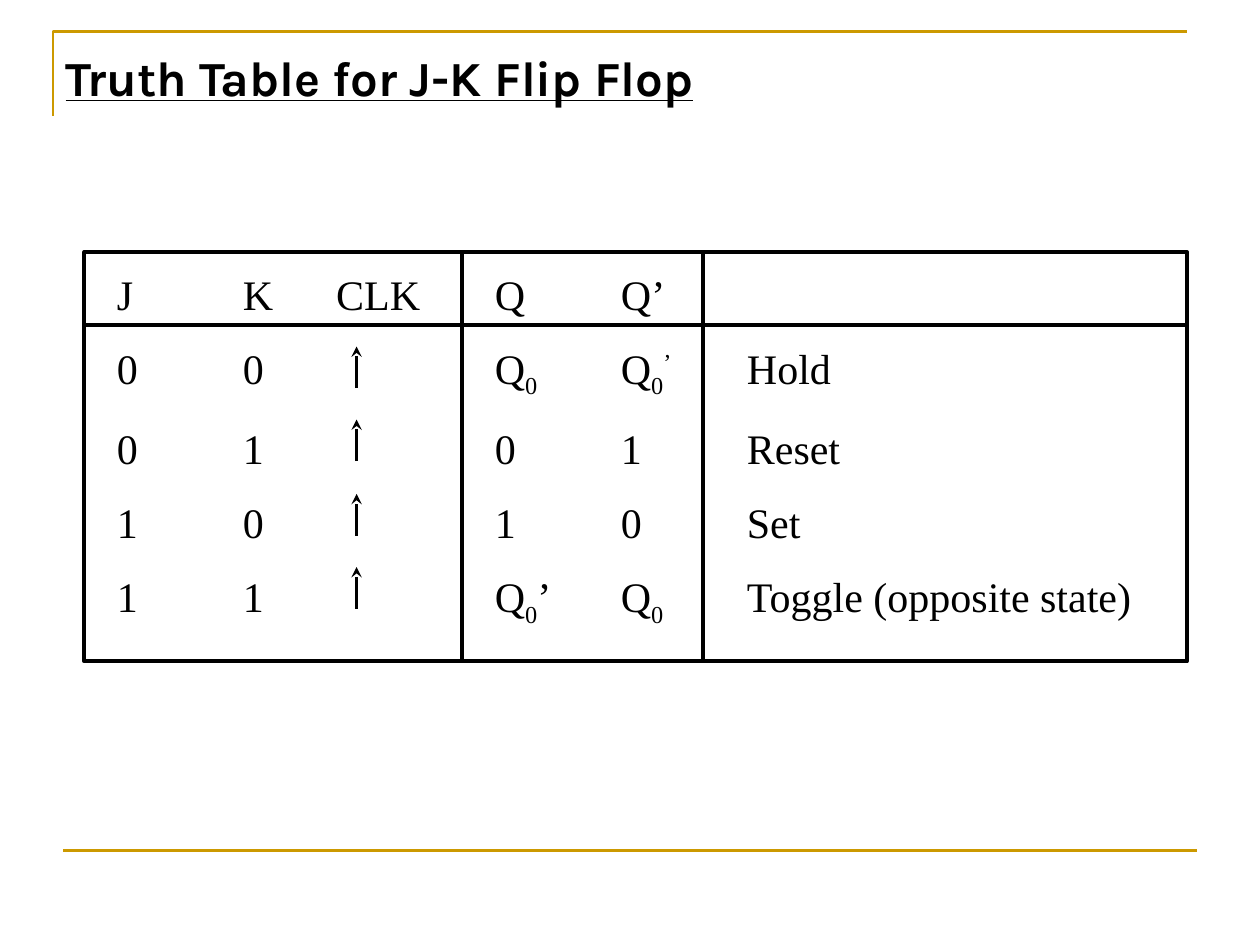
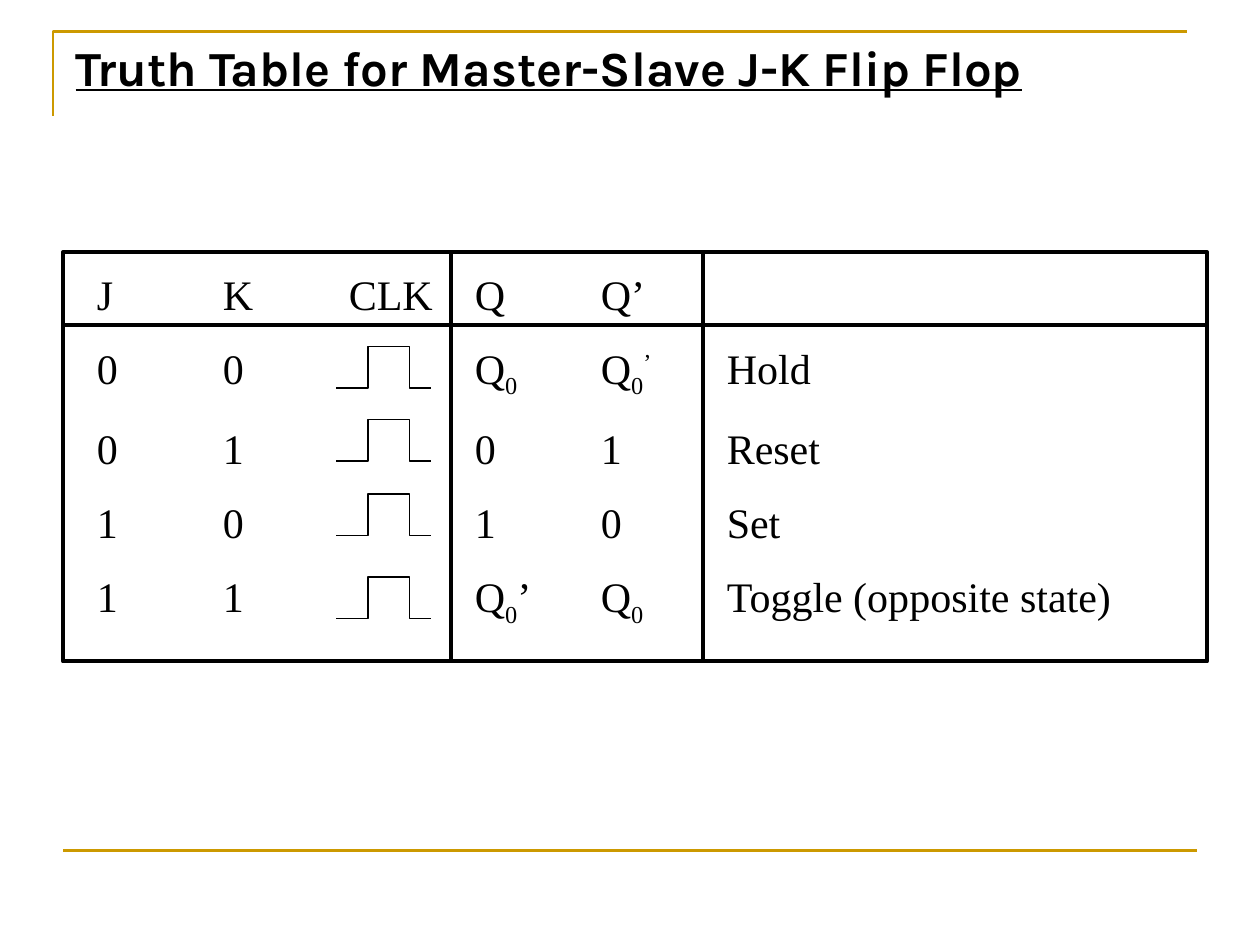
from dataclasses import dataclass
from itertools import groupby
from lxml.etree import SubElement
from pptx import Presentation
from pptx.dml.color import RGBColor
from pptx.enum.shapes import MSO_CONNECTOR as Connector, MSO_SHAPE as Shape
from pptx.enum.text import MSO_ANCHOR as Anchor, MSO_AUTO_SIZE as AutoSize, PP_ALIGN as Align
from pptx.oxml.ns import qn
from pptx.util import Inches, Pt


@dataclass(frozen=True)
class Theme:
    ink: RGBColor = RGBColor(0x00, 0x00, 0x00)
    gold: RGBColor = RGBColor(0xCC, 0x99, 0x00)
    title_font: str = "Karla"
    table_font: str = "Times New Roman"
    title_size: float = 28
    table_size: float = 24
    row_gap: float = 13.4
    trim_line: float = 1.5
    grid_line: float = 2.25
    arrow_line: float = 2
    pulse_line: float = 0.75


THEME = Theme()

# Content: a cell is plain text or a list of (text, baseline percent) parts
Q0 = [("Q", 0), ("0", -25)]
TRUTH_ROWS = [
    ["J", "K", "CLK", "Q", "Q’"],
    ["0", "0", "", Q0, Q0 + [("’", 30)], "Hold"],
    ["0", "1", "", "0", "1", "Reset"],
    ["1", "0", "", "1", "0", "Set"],
    ["1", "1", "", Q0 + [("’", 0)], Q0, "Toggle (opposite state)"],
]
SLIDES = [
    dict(title="Truth Table for J-K Flip Flop", title_box=(0.42, 0.33, 9, 1.5),
         text_left=0.83, tabs=(1, 1.74, 3, 4, 5),
         frame_left=0.67, frame_right=9.42, dividers=(3.67, 5.58),
         clock="edge", clock_tops=(2.75, 3.33, 3.92, 4.5)),
    dict(title="Truth Table for Master-Slave J-K Flip Flop", title_box=(0.5, 0.25, 10, 1.08),
         text_left=0.67, tabs=(1, 2, 3, 4, 5),
         frame_left=0.5, frame_right=9.58, dividers=(3.58, 5.58),
         clock="pulse", clock_tops=(2.75, 3.33, 3.92, 4.58)),
]

# Shared table geometry, in inches
FRAME_TOP, HEADER_BOTTOM, FRAME_BOTTOM = 2, 2.58, 5.25
TEXT_TOP, TEXT_WIDTH, TEXT_HEIGHT = 2.08, 9, 3.49
CLOCK_HEIGHT = 0.33
EDGE_X = 2.83
PULSE_XS = (2.67, 2.92, 3.25, 3.42)


def style_line(shape, color, width):
    shape.line.color.rgb = color
    shape.line.width = Pt(width)


def add_line(page, start, end, color=THEME.ink, width=THEME.grid_line):
    ends = [Inches(value) for value in (*start, *end)]
    line = page.shapes.add_connector(Connector.STRAIGHT, *ends)
    style_line(line, color, width)
    SubElement(line.element.spPr, qn("a:effectLst"))
    return line


def add_outline(page, points, color, width):
    points = [(Inches(x), Inches(y)) for x, y in points]
    builder = page.shapes.build_freeform(*points[0])
    builder.add_line_segments(points[1:], close=False)
    outline = builder.convert_to_shape()
    outline.fill.background()
    outline.shadow.inherit = False
    style_line(outline, color, width)
    return outline


def style_span(span, font, size):
    span.font.name = font
    span.font.size = Pt(size)
    span.font.color.rgb = THEME.ink


def add_trim(page, layout):
    """Draw the gold rules and move them to the layout that all slides share."""
    corner = add_outline(page, [(0.42, 0.92), (0.42, 0.25), (9.42, 0.25)],
                         THEME.gold, THEME.trim_line)
    footer = add_line(page, (0.5, 6.75), (9.5, 6.75), THEME.gold, THEME.trim_line)
    for shape in (corner, footer):
        layout.shapes.element.append(shape.element)


def set_title(page, text, place):
    box = page.shapes.title
    box.left, box.top, box.width, box.height = (Inches(value) for value in place)
    frame = box.text_frame
    frame.word_wrap = True
    frame.auto_size = AutoSize.NONE
    frame.vertical_anchor = Anchor.TOP
    para = frame.paragraphs[0]
    para.alignment = Align.LEFT
    span = para.add_run()
    span.text = text
    style_span(span, THEME.title_font, THEME.title_size)
    span.font.bold = span.font.underline = True


def row_parts(row):
    """Join the cells of a row with tabs into (text, baseline) parts."""
    parts = []
    for index, cell in enumerate(row):
        if index:
            parts.append(("\t", 0))
        parts += [(cell, 0)] if isinstance(cell, str) else cell
    for baseline, group in groupby(parts, key=lambda part: part[1]):
        yield "".join(text for text, _ in group), baseline


def add_truth_rows(page, left, tabs):
    box = page.shapes.add_textbox(Inches(left), Inches(TEXT_TOP),
                                  Inches(TEXT_WIDTH), Inches(TEXT_HEIGHT))
    frame = box.text_frame
    frame.word_wrap = True
    for index, row in enumerate(TRUTH_ROWS):
        para = frame.add_paragraph() if index else frame.paragraphs[0]
        tab_list = SubElement(para._p.get_or_add_pPr(), qn("a:tabLst"))
        for stop in tabs:
            SubElement(tab_list, qn("a:tab"), pos=str(Inches(stop)), algn="l")
        if index:
            para.space_before = Pt(THEME.row_gap)
        for text, baseline in row_parts(row):
            span = para.add_run()
            span.text = text
            style_span(span, THEME.table_font, THEME.table_size)
            if baseline:
                span.font._element.set("baseline", str(baseline * 1000))


def add_grid(page, left, right, dividers):
    frame = page.shapes.add_shape(Shape.RECTANGLE, Inches(left), Inches(FRAME_TOP),
                                  Inches(right - left), Inches(FRAME_BOTTOM - FRAME_TOP))
    frame.fill.background()
    frame.shadow.inherit = False
    style_line(frame, THEME.ink, THEME.grid_line)
    for x in dividers:
        add_line(page, (x, FRAME_TOP), (x, FRAME_BOTTOM))
    add_line(page, (left, HEADER_BOTTOM), (right, HEADER_BOTTOM))


def add_rising_edge(page, top):
    arrow = add_line(page, (EDGE_X, top + CLOCK_HEIGHT), (EDGE_X, top),
                     width=THEME.arrow_line)
    SubElement(arrow.line._get_or_add_ln(), qn("a:tailEnd"), type="stealth")


def add_pulse(page, top):
    start, rise, fall, end = PULSE_XS
    low = top + CLOCK_HEIGHT
    add_outline(page, [(start, low), (rise, low), (rise, top), (fall, top),
                       (fall, low), (end, low)], THEME.ink, THEME.pulse_line)


CLOCK_MARKS = {"edge": add_rising_edge, "pulse": add_pulse}


def main():
    deck = Presentation()
    deck.slide_width, deck.slide_height = Inches(10), Inches(7.5)
    layout = deck.slide_layouts.get_by_name("Title Only")
    for index, content in enumerate(SLIDES):
        page = deck.slides.add_slide(layout)
        if index == 0:
            add_trim(page, layout)
        set_title(page, content["title"], content["title_box"])
        add_truth_rows(page, content["text_left"], content["tabs"])
        add_grid(page, content["frame_left"], content["frame_right"], content["dividers"])
        for top in content["clock_tops"]:
            CLOCK_MARKS[content["clock"]](page, top)
    deck.save("out.pptx")


if __name__ == "__main__":
    main()
